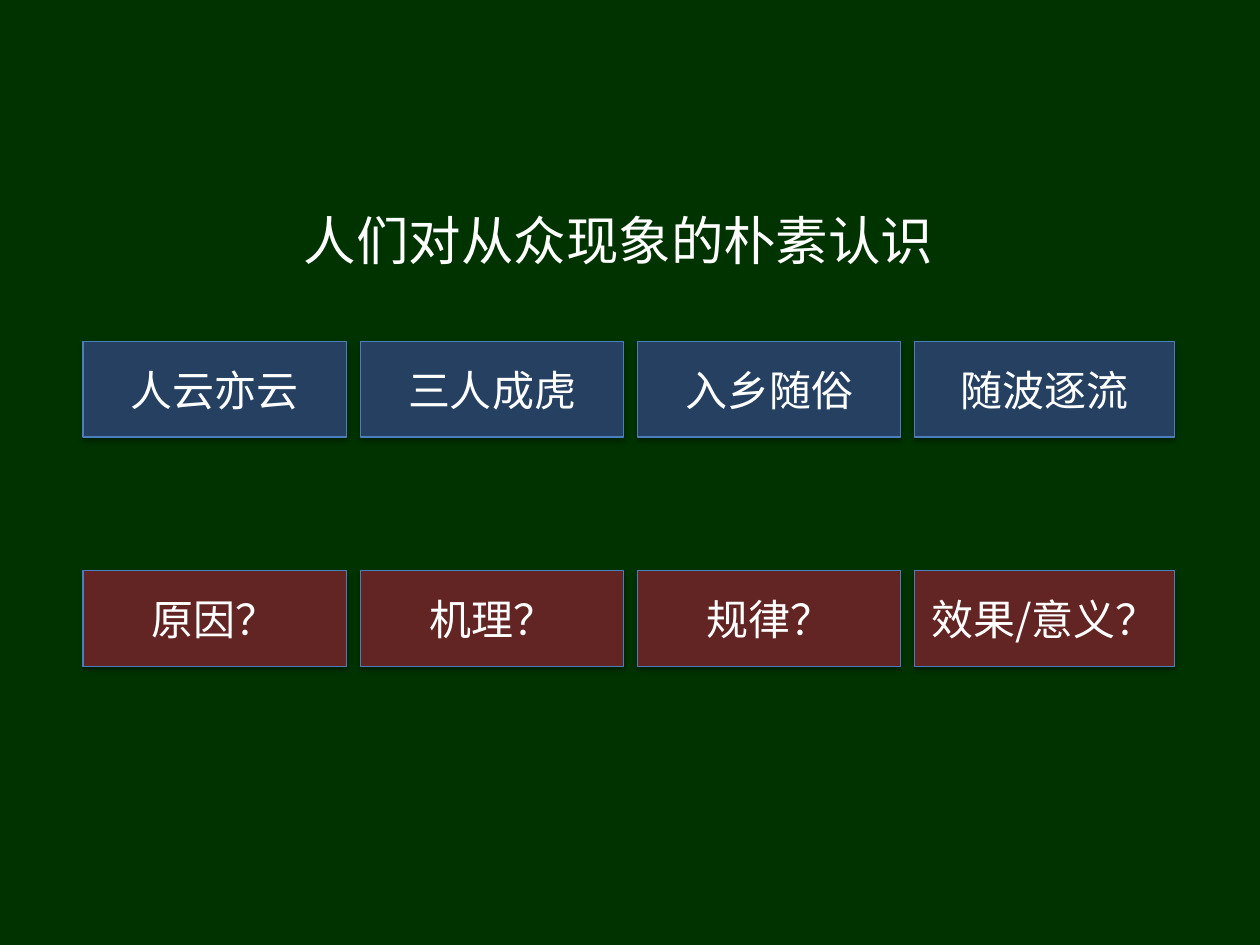
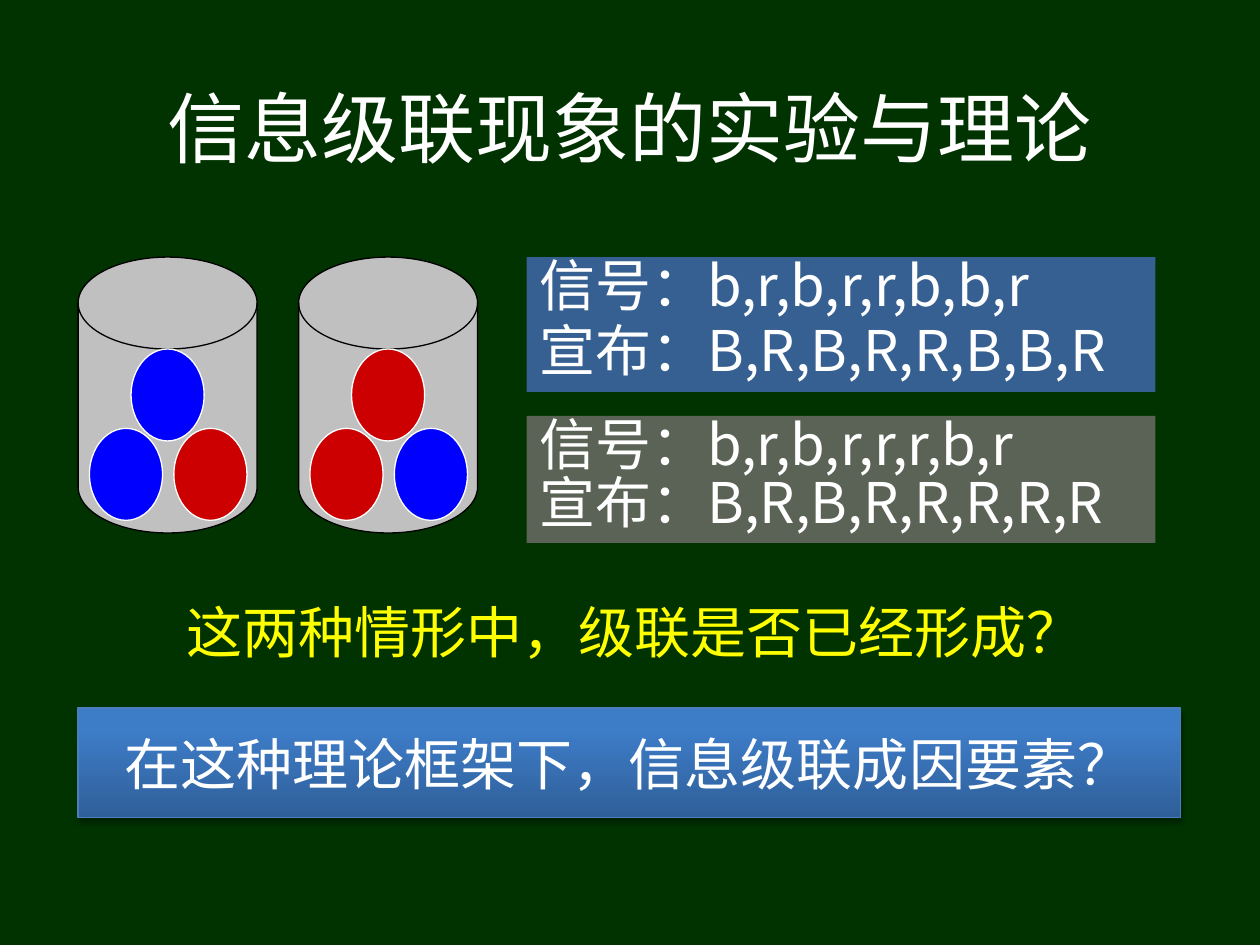
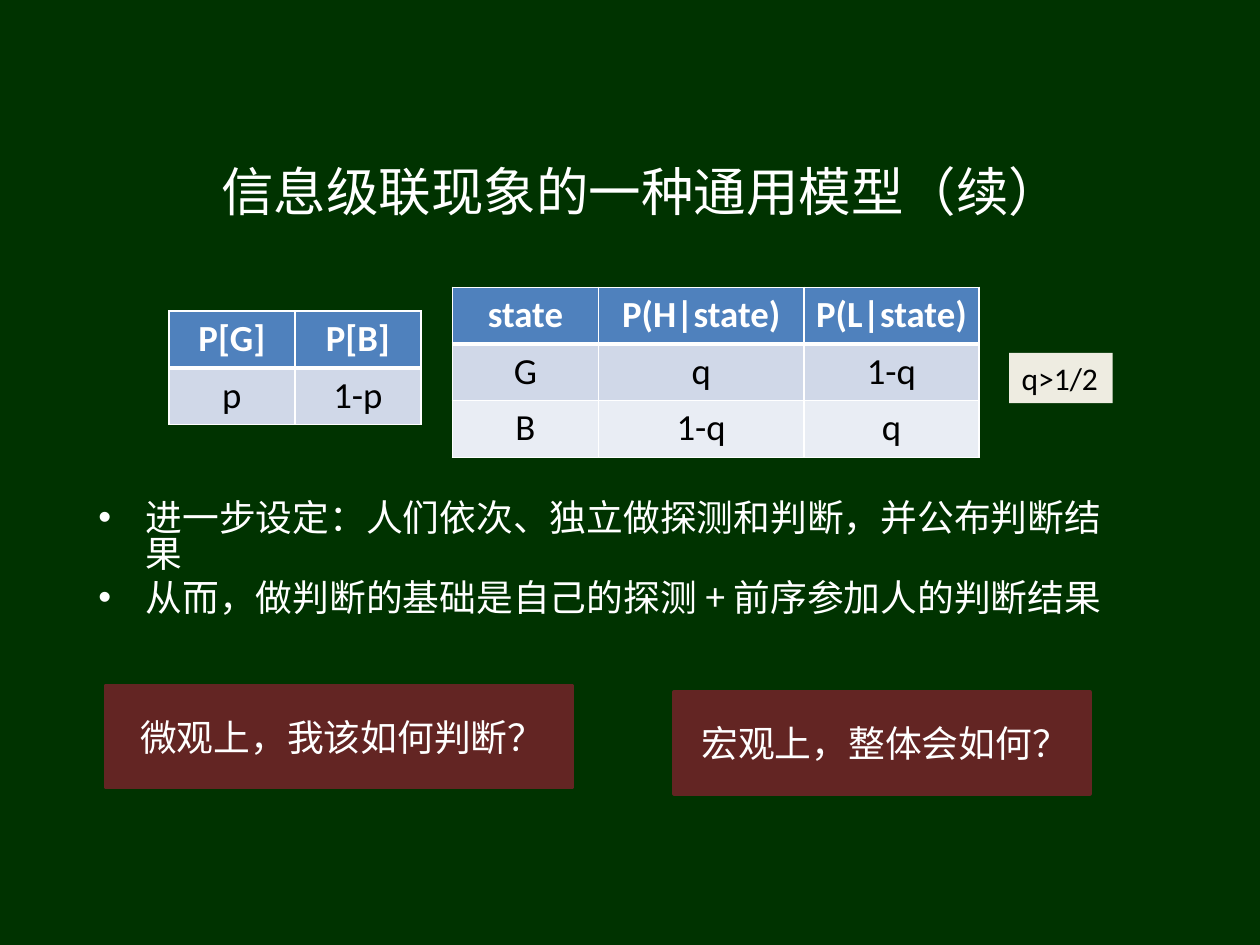
import pptx
import pptx.util
import pptx.dml.color
import pptx.enum.shapes
import pptx.enum.text
import pptx.oxml
import pptx.oxml.ns
from lxml import etree

Inches = pptx.util.Inches
Pt = pptx.util.Pt
RGBColor = pptx.dml.color.RGBColor
KIND = pptx.enum.shapes.MSO_SHAPE
ALIGN = pptx.enum.text.PP_ALIGN
ANCHOR = pptx.enum.text.MSO_ANCHOR
FIT = pptx.enum.text.MSO_AUTO_SIZE
qn = pptx.oxml.ns.qn

GREEN = RGBColor(0x00, 0x33, 0x00)
WHITE = RGBColor(0xFF, 0xFF, 0xFF)
BLACK = RGBColor(0x00, 0x00, 0x00)
YELLOW = RGBColor(0xFF, 0xFF, 0x00)
NAVY = RGBColor(0x25, 0x40, 0x61)
MAROON = RGBColor(0x63, 0x25, 0x23)
EDGE = RGBColor(0x4B, 0x7E, 0xBC)
STEEL = RGBColor(0x37, 0x60, 0x92)
MOSS = RGBColor(0x5B, 0x62, 0x56)
CREAM = RGBColor(0xEE, 0xEC, 0xE1)
SILVER = RGBColor(0xC0, 0xC0, 0xC0)
BLUE = RGBColor(0x00, 0x00, 0xFF)
RED = RGBColor(0xCC, 0x00, 0x00)
DEEP = RGBColor(0x2F, 0x5F, 0x99)
BRIGHT = RGBColor(0x3D, 0x7C, 0xC7)
HEAD = RGBColor(0x4F, 0x81, 0xBD)
BANDS = [RGBColor(0xD0, 0xD8, 0xE8), RGBColor(0xE9, 0xED, 0xF4)]

HAN = "Noto Sans CJK SC"
LATIN = "Calibri"


def place(shape, left, top, width, height):
    shape.left, shape.top = Inches(left), Inches(top)
    shape.width, shape.height = Inches(width), Inches(height)


def write(frame, lines, size, color=WHITE, face=HAN, align=ALIGN.CENTER,
          lead=None, gap=0, bold=None):
    frame.text = "\n".join(lines)
    for i, para in enumerate(frame.paragraphs):
        para.alignment = align
        para.line_spacing = lead
        para.space_before = Pt(gap if i else 0)
        for run in para.runs:
            run.font.size = Pt(size)
            run.font.bold = bold
            run.font.color.rgb = color
            run.font.name = face
            etree.SubElement(run._r.rPr, qn("a:ea"), typeface=face)


def inset(frame, left, right):
    frame.margin_left, frame.margin_right = Inches(left), Inches(right)


def shade(shape):
    xml = ('<a:outerShdw %s blurRad="39370" dist="22860" dir="5400000" rotWithShape="0">'
           '<a:srgbClr val="000000"><a:alpha val="35000"/></a:srgbClr></a:outerShdw>')
    glow = pptx.oxml.parse_xml(xml % pptx.oxml.ns.nsdecls("a"))
    shape._element.spPr.find(qn("a:effectLst")).append(glow)


def draw(shapes, kind, spot, fill, line=None, weight=0.75):
    shape = shapes.add_shape(kind, *map(Inches, spot))
    shape.shadow.inherit = False
    shape.fill.solid()
    shape.fill.fore_color.rgb = fill
    if line is None:
        shape.line.fill.background()
    else:
        shape.line.color.rgb = line
        shape.line.width = Pt(weight)
    return shape


def box(slide, spot, lines, size, fill, line=None, weight=0.75,
        anchor=ANCHOR.MIDDLE, **style):
    shape = draw(slide.shapes, KIND.RECTANGLE, spot, fill, line, weight)
    frame = shape.text_frame
    frame.word_wrap = True
    frame.vertical_anchor = anchor
    write(frame, lines, size, **style)
    return shape


def start(deck, layout, title, size, spot):
    slide = deck.slides.add_slide(deck.slide_layouts[layout])
    head = slide.shapes.title
    place(head, *spot)
    head.text_frame.auto_size = FIT.NONE
    head.text_frame.vertical_anchor = ANCHOR.MIDDLE
    write(head.text_frame, [title], size)
    return slide


def row(slide, top, words, fill):
    for i, word in enumerate(words):
        left = 0.66 + 2.2 * i
        width = min(2.09, 9.32 - left)
        shade(box(slide, (left, top, width, 0.76), [word], 24, fill, EDGE))


def jar(slide, left, colors):
    group = slide.shapes.add_group_shape()
    draw(group.shapes, KIND.FLOWCHART_MAGNETIC_DISK, (left, 2.04, 1.42, 2.19), SILVER, BLACK)
    spots = [(0.09, 3.4), (0.76, 3.4), (0.42, 2.77)]
    for (shift, top), color in zip(spots, colors):
        draw(group.shapes, KIND.OVAL, (left + shift, top, 0.58, 0.73), color, WHITE)


def edge(cell, side, weight):
    line = etree.SubElement(cell._tc.get_or_add_tcPr(), qn("a:" + side), w=str(Pt(weight)))
    fill = etree.SubElement(line, qn("a:solidFill"))
    etree.SubElement(fill, qn("a:srgbClr"), val=str(WHITE))


def grid(slide, left, top, widths, rows):
    high = 0.45
    spot = (left, top, sum(widths), high * len(rows))
    table = slide.shapes.add_table(len(rows), len(widths), *map(Inches, spot)).table
    for col, width in zip(table.columns, widths):
        col.width = Inches(width)
    for r, words in enumerate(rows):
        table.rows[r].height = Inches(high)
        for c, word in enumerate(words):
            cell = table.cell(r, c)
            inset(cell, 0.07, 0.07)
            cell.margin_top = cell.margin_bottom = Inches(0.04)
            edge(cell, "lnL", 1)
            edge(cell, "lnR", 1)
            edge(cell, "lnT", 3 if r == 1 else 1)
            edge(cell, "lnB", 3 if r == 0 else 1)
            cell.fill.solid()
            cell.fill.fore_color.rgb = BANDS[(r - 1) % 2] if r else HEAD
            write(cell.text_frame, [word], 21, BLACK if r else WHITE, LATIN, bold=r == 0)


def views(deck):
    slide = start(deck, 5, "人们对从众现象的朴素认识", 30, (1, 1.24, 7.82, 1.32))
    row(slide, 2.71, ["人云亦云", "三人成虎", "入乡随俗", "随波逐流"], NAVY)
    row(slide, 4.53, ["原因？", "机理？", "规律？", "效果/意义？"], MAROON)


def trial(deck):
    slide = start(deck, 5, "信息级联现象的实验与理论", 44, (0.5, 0.38, 9, 1.25))
    ask = slide.shapes.add_textbox(*map(Inches, (0.58, 4.51, 8.92, 0.8)))
    ask.text_frame.word_wrap = True
    write(ask.text_frame, ["这两种情形中，级联是否已经形成？"], 32, YELLOW, lead=1.35)
    jar(slide, 0.62, [BLUE, RED, BLUE])
    jar(slide, 2.37, [RED, BLUE, RED])
    cases = [
        (2.04, 1.07, STEEL, 6.4, ["信号：b,r,b,r,r,b,b,r", "宣布：B,R,B,R,R,B,B,R"]),
        (3.3, 1.01, MOSS, 2.6, ["信号：b,r,b,r,r,r,b,r", "宣布：B,R,B,R,R,R,R,R"]),
    ]
    for top, high, fill, gap, lines in cases:
        case = box(slide, (4.18, top, 4.99, high), lines, 32, fill, anchor=ANCHOR.TOP,
                   align=ALIGN.LEFT, lead=0.8, gap=gap)
        inset(case.text_frame, 0.1, 0)
    bar = box(slide, (0.62, 5.62, 8.75, 0.87), ["在这种理论框架下，信息级联成因要素？"],
              32, BRIGHT, EDGE)
    bar.fill.gradient()
    bar.fill.gradient_angle = 90
    for stop, color, spot in zip(bar.fill.gradient_stops, [DEEP, BRIGHT], [0, 0.8]):
        stop.color.rgb = color
        stop.position = spot
    shade(bar)


def model(deck):
    slide = start(deck, 1, "信息级联现象的一种通用模型（续）", 30, (1.62, 1.16, 6.94, 0.71))
    body = slide.placeholders[1]
    place(body, 0.68, 3.94, 8.41, 0.85)
    body.text_frame.auto_size = FIT.NONE
    write(body.text_frame,
          ["进一步设定：人们依次、独立做探测和判断，并公布判断结果",
           "从而，做判断的基础是自己的探测 + 前序参加人的判断结果"],
          21, align=ALIGN.LEFT, lead=0.82, gap=4.2)
    asks = [((0.84, 5.44, 3.7, 0.81), "微观上，我该如何判断？"),
            ((5.35, 5.49, 3.3, 0.81), "宏观上，整体会如何？")]
    for spot, text in asks:
        ask = box(slide, spot, [text], 21, MAROON, MAROON, 2)
        inset(ask.text_frame, 0.15, 0.1)
    grid(slide, 1.34, 2.47, [1, 1], [["P[G]", "P[B]"], ["p", "1-p"]])
    grid(slide, 3.59, 2.28, [1.16, 1.63, 1.39],
         [["state", "P(H|state)", "P(L|state)"], ["G", "q", "1-q"], ["B", "1-q", "q"]])
    note = box(slide, (8.01, 2.8, 0.82, 0.4), ["q>1/2"], 18, CREAM, anchor=ANCHOR.TOP,
               color=BLACK, face=LATIN, align=ALIGN.LEFT)
    note.text_frame.word_wrap = False


def main():
    deck = pptx.Presentation()
    deck.slide_width, deck.slide_height = Inches(10), Inches(7.5)
    ground = deck.slide_master.background.fill
    ground.solid()
    ground.fore_color.rgb = GREEN
    views(deck)
    trial(deck)
    model(deck)
    deck.save("out.pptx")


if __name__ == "__main__":
    main()
